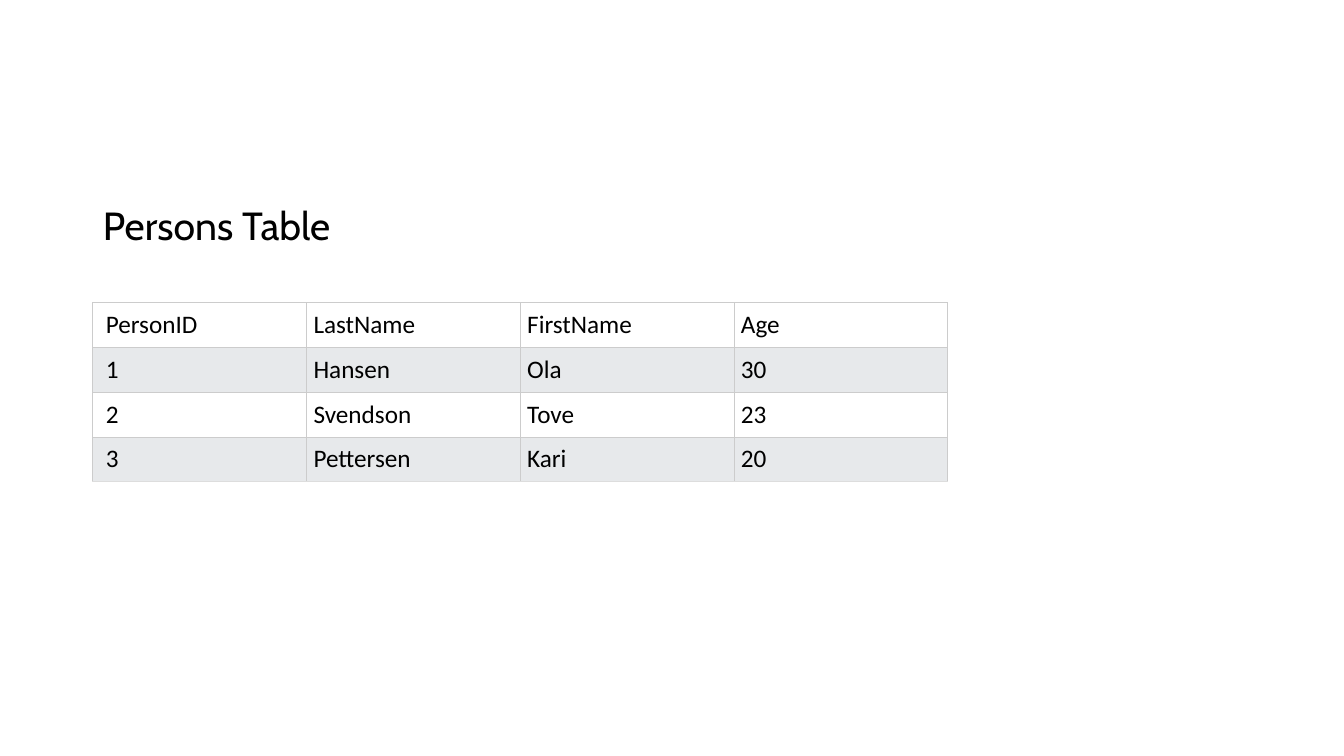
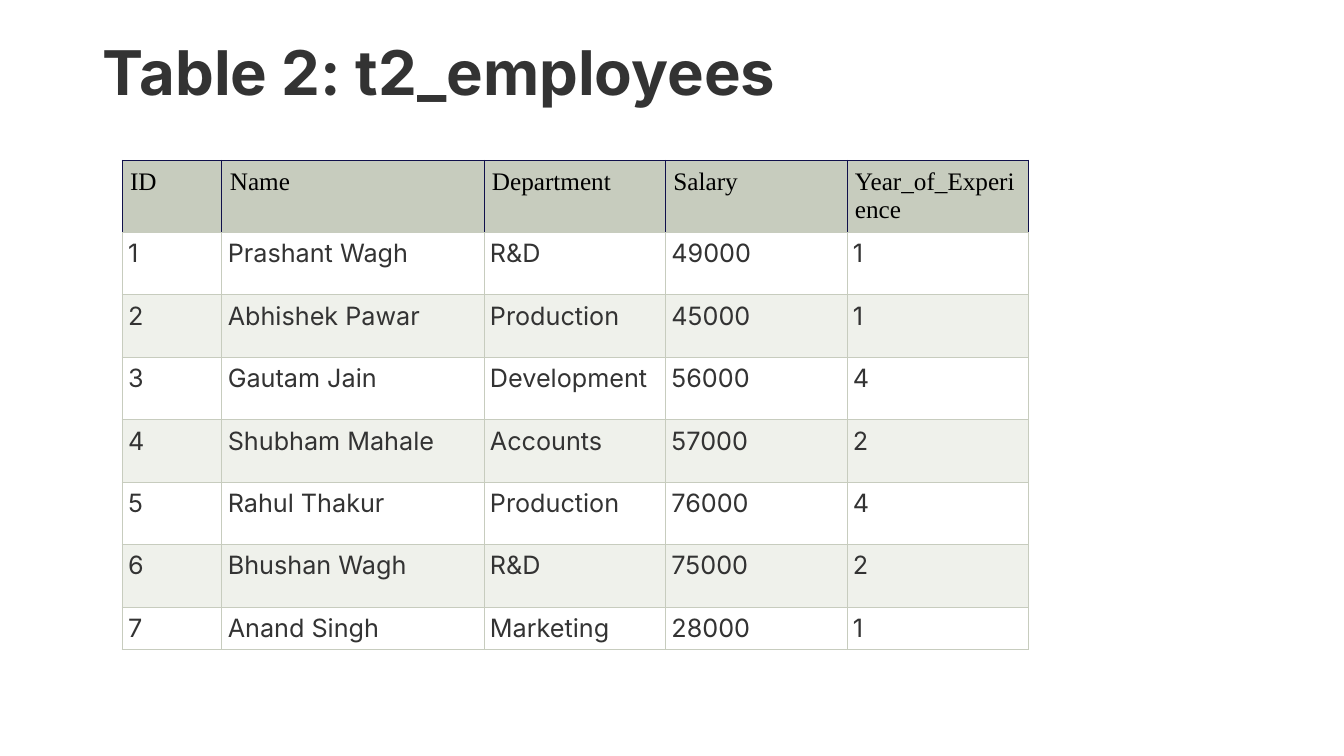
from lxml import etree
from pptx import Presentation
from pptx.dml.color import RGBColor
from pptx.enum.text import MSO_ANCHOR, MSO_AUTO_SIZE, PP_ALIGN
from pptx.oxml.ns import qn
from pptx.util import Inches, Pt

MIDDLE, TOP = MSO_ANCHOR.MIDDLE, MSO_ANCHOR.TOP
NO_AUTOFIT = MSO_AUTO_SIZE.NONE
LEFT, JUSTIFY = PP_ALIGN.LEFT, PP_ALIGN.JUSTIFY
CONTENT_LAYOUT, TITLE_LAYOUT = 1, 5
COLORS = {
    "white": "FFFFFF", "black": "000000", "ink": "333333",
    "grey band": "E7E9EB", "grey line": "CCCCCC", "pale line": "DDDDDD",
    "sage": "C7CCBE", "sage band": "EFF1EB", "navy": "10104B",
}

PERSONS = [
    ("PersonID", "LastName", "FirstName", "Age"),
    ("1", "Hansen", "Ola", "30"),
    ("2", "Svendson", "Tove", "23"),
    ("3", "Pettersen", "Kari", "20"),
]
EMPLOYEES = [
    ("ID", "Name", "Department", "Salary", "Year_of_Experience"),
    ("1", "Prashant Wagh", "R&D", "49000", "1"),
    ("2", "Abhishek Pawar", "Production", "45000", "1"),
    ("3", "Gautam Jain", "Development", "56000", "4"),
    ("4", "Shubham Mahale", "Accounts", "57000", "2"),
    ("5", "Rahul Thakur", "Production", "76000", "4"),
    ("6", "Bhushan Wagh", "R&D", "75000", "2"),
    ("7", "Anand Singh", "Marketing", "28000", "1"),
]


class Deck:
    left, width = 0.92, 11.5
    cell_size, line_width = 18, 0.6

    def __init__(self):
        self.deck = Presentation()
        self.deck.slide_width = Inches(13.33)
        self.deck.slide_height = Inches(7.5)
        self.page = None

    def add_page(self, layout):
        self.page = self.deck.slides.add_slide(self.deck.slide_layouts[layout])

    def style_text(self, paragraph, font, size, color, bold=False, align=LEFT):
        paragraph.alignment = align
        for span in paragraph.runs:
            span.font.name = font
            span.font.size = Pt(size)
            span.font.bold = bold
            span.font.color.rgb = RGBColor.from_string(COLORS[color])

    def fill_placeholder(self, box, text, top, height, anchor, **style):
        box.left, box.top = Inches(self.left), Inches(top)
        box.width, box.height = Inches(self.width), Inches(height)
        frame = box.text_frame
        frame.text = text
        frame.word_wrap = True
        frame.auto_size = NO_AUTOFIT
        frame.vertical_anchor = anchor
        paragraph = frame.paragraphs[0]
        paragraph.line_spacing = 0.9
        self.style_text(paragraph, **style)
        return frame

    def title(self, text, top, height, **style):
        frame = self.fill_placeholder(self.page.shapes.title, text, top, height, MIDDLE, **style)
        frame.margin_bottom = Inches(0.8)

    def body(self, text, top, height, **style):
        heading = self.page.shapes.title
        heading.element.getparent().remove(heading.element)
        frame = self.fill_placeholder(self.page.placeholders[1], text, top, height, TOP, **style)
        paragraph = frame.paragraphs[0]
        paragraph.space_before = Pt(10)
        properties = paragraph._p.get_or_add_pPr()
        properties.set("marL", "0")
        properties.set("indent", "0")
        etree.SubElement(properties, qn("a:buNone"))

    def borders(self, cell, sides, bottom):
        properties = cell._tc.get_or_add_tcPr()
        edges = (("L", sides), ("R", sides), ("T", sides), ("B", bottom))
        for index, (edge, color) in enumerate(edges):
            line = etree.Element(qn(f"a:ln{edge}"), w=str(Pt(self.line_width)))
            fill = etree.SubElement(line, qn("a:solidFill"))
            etree.SubElement(fill, qn("a:srgbClr"), val=COLORS[color])
            properties.insert(index, line)

    def table(self, rows, left, top, widths, heights, cell_style):
        frame = self.page.shapes.add_table(
            len(rows), len(widths), Inches(left), Inches(top),
            Inches(sum(widths)), Inches(sum(heights)))
        table = frame.table
        table.horz_banding = False
        for column, width in zip(table.columns, widths):
            column.width = Inches(width)
        for row, height in zip(table.rows, heights):
            row.height = Inches(height)
        for r, values in enumerate(rows):
            for c, value in enumerate(values):
                self.cell(table.cell(r, c), value, **cell_style(r, c))

    def cell(self, cell, text, fill, sides, bottom, inset, font, color,
             align=LEFT, left_inset=None):
        cell.text_frame.text = text
        self.style_text(cell.text_frame.paragraphs[0], font, self.cell_size, color, align=align)
        cell.margin_left = Inches(left_inset or inset)
        cell.margin_right = cell.margin_top = cell.margin_bottom = Inches(inset)
        cell.fill.solid()
        cell.fill.fore_color.rgb = RGBColor.from_string(COLORS[fill])
        self.borders(cell, sides, bottom)


def person_style(row, column):
    last = row == len(PERSONS) - 1
    return dict(
        fill="grey band" if row % 2 else "white", sides="grey line",
        bottom="pale line" if last else "grey line", inset=0.07,
        left_inset=0.13 if column == 0 else None, font="Calibri", color="black")


def employee_style(row, column):
    if row == 0:
        return dict(fill="sage", sides="navy", bottom="sage", inset=0.08,
                    font="Times New Roman", color="black")
    return dict(fill="white" if row % 2 else "sage band", sides="sage", bottom="sage",
                inset=0.06, font="Inter", color="ink", align=JUSTIFY)


def main():
    deck = Deck()

    deck.add_page(CONTENT_LAYOUT)
    deck.body("Persons Table", 2, 4.76, font="Cabin", size=28, color="black")
    deck.table(PERSONS, deck.left, 3, [2.12] * 4, [0.44] * 4, person_style)

    deck.add_page(TITLE_LAYOUT)
    deck.title("Table 2: t2_employees", 0.4, 1.45, font="Inter", size=44, color="ink", bold=True)
    deck.table(EMPLOYEES, 1.21, 1.59, [0.99, 2.6] + [1.8] * 3,
               [0.71] + [0.62] * 6 + [0.42], employee_style)

    deck.deck.save("out.pptx")


if __name__ == "__main__":
    main()
